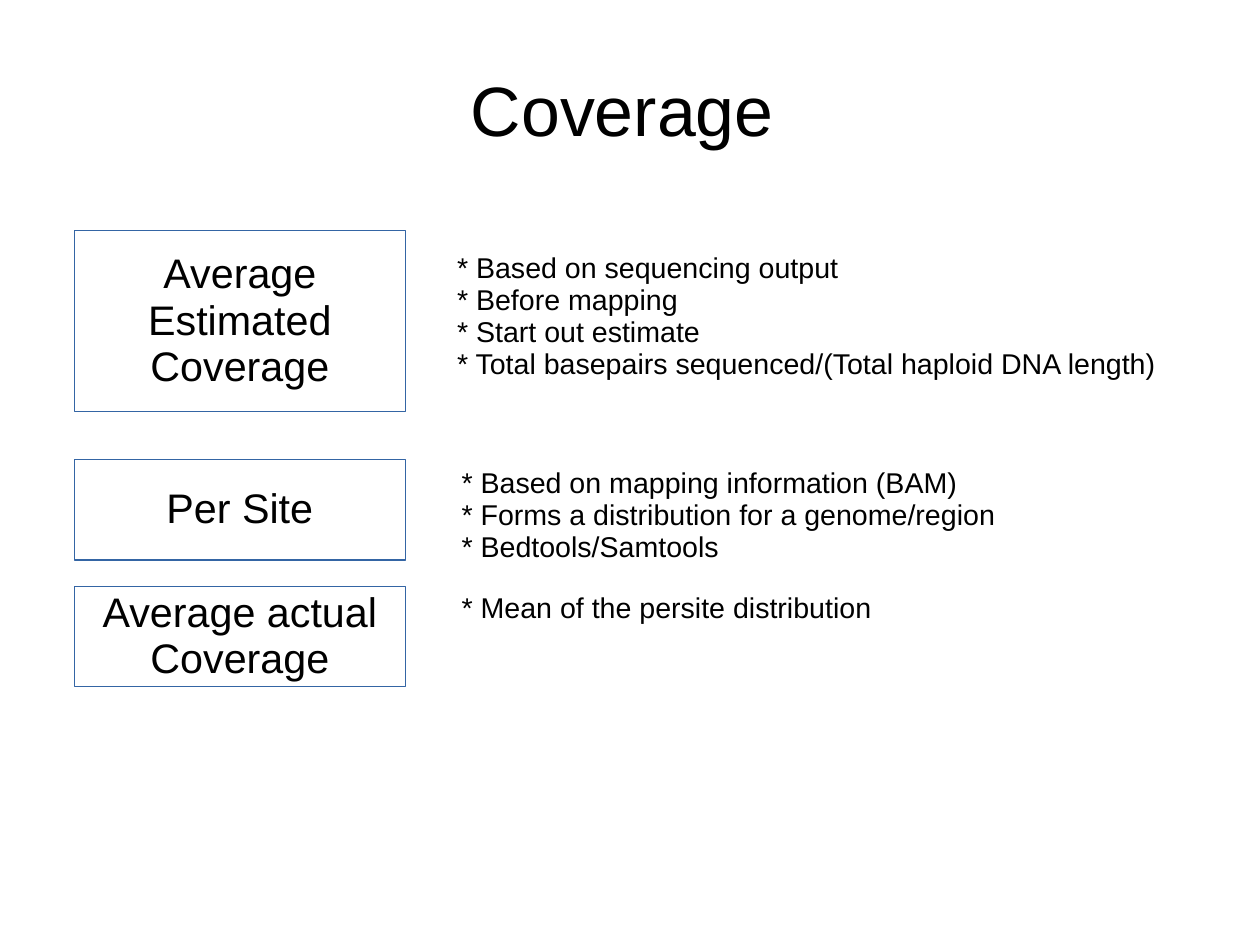
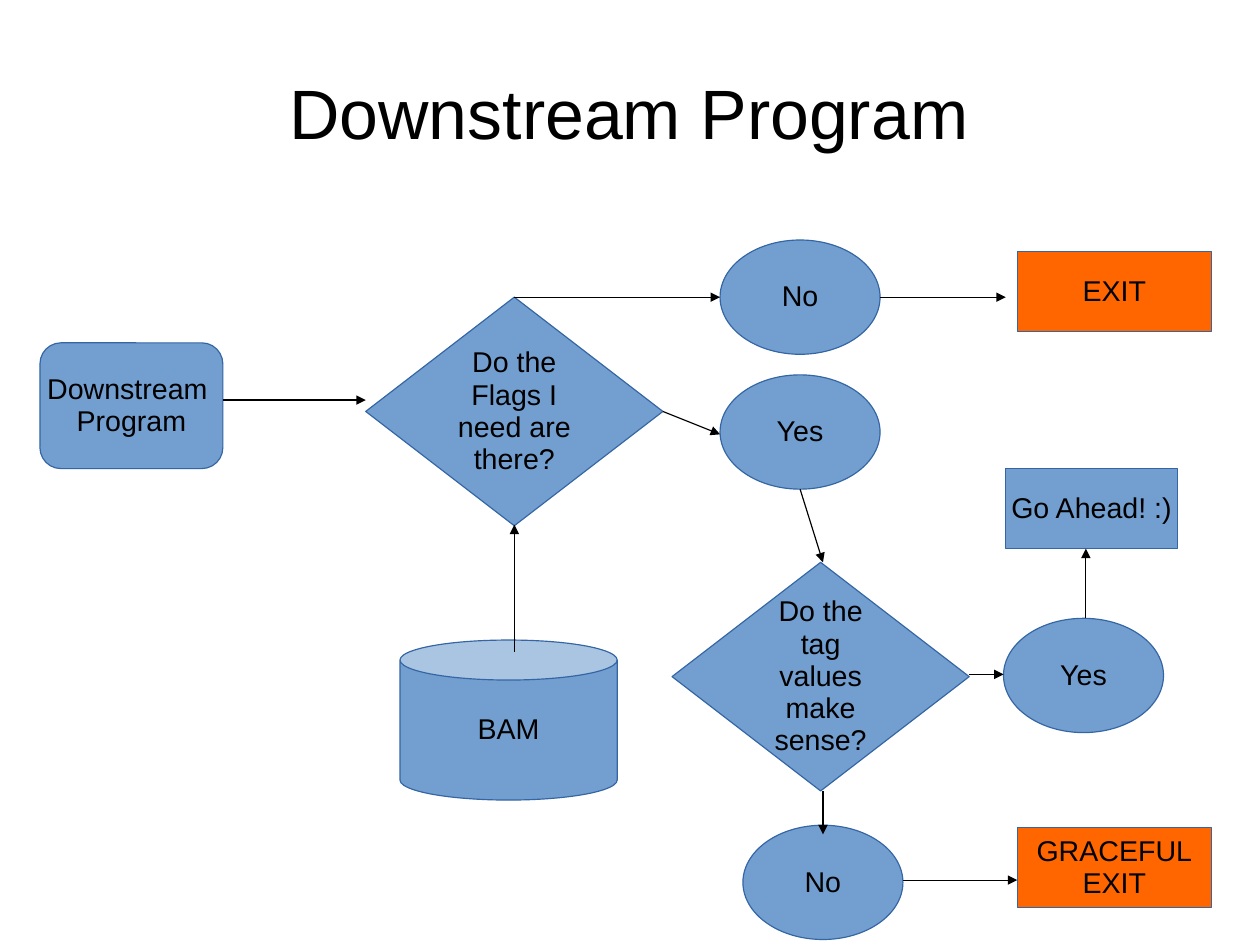
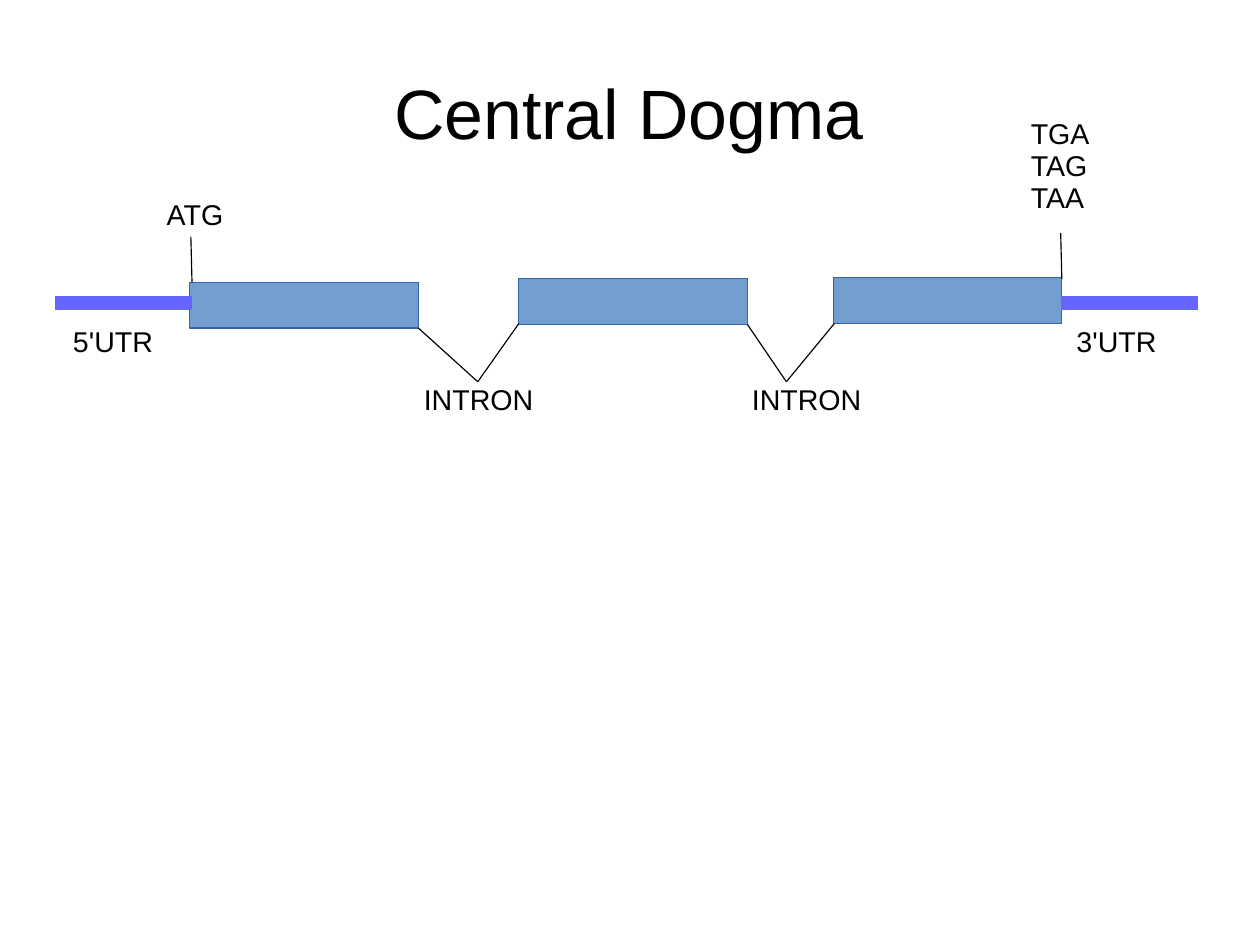
from dataclasses import dataclass
from typing import Optional

from lxml.etree import SubElement
from pptx import Presentation
from pptx.dml.color import RGBColor
from pptx.enum.shapes import MSO_CONNECTOR, MSO_SHAPE
from pptx.enum.text import MSO_ANCHOR, MSO_AUTO_SIZE, PP_ALIGN
from pptx.oxml.ns import qn
from pptx.slide import Slide
from pptx.text.text import TextFrame
from pptx.util import Cm, Inches, Pt


@dataclass(frozen=True)
class Theme:
    """Colours, font, type sizes and line widths of the deck."""
    ink: str = "000000"
    blue: str = "729FCF"
    outline: str = "3465A4"
    orange: str = "FF6600"
    violet: str = "6666FF"
    font: str = "Arial"
    title: int = 44
    heading: int = 26
    body: int = 18
    spacing: float = 0.94
    thin: float = 0.74
    thick: float = 8.65


THEME = Theme()


@dataclass(frozen=True)
class Node:
    """An outlined shape with centred text."""
    left: float
    top: float
    width: float
    height: float
    text: str = ""
    kind: MSO_SHAPE = MSO_SHAPE.RECTANGLE
    fill: Optional[str] = THEME.blue
    size: int = THEME.body
    wrap: bool = False


@dataclass(frozen=True)
class Label:
    """Left-aligned text without a frame."""
    left: float
    top: float
    width: float
    height: float
    text: str


@dataclass(frozen=True)
class Line:
    """A straight line, with or without an arrowhead at its end."""
    x1: float
    y1: float
    x2: float
    y2: float
    arrow: bool = False
    color: str = THEME.ink
    width: float = THEME.thin


def format_text(tf: TextFrame, size: int, align: PP_ALIGN) -> None:
    """Give every paragraph of a frame the deck's type style."""
    tf.auto_size = MSO_AUTO_SIZE.NONE
    for p in tf.paragraphs:
        p.alignment = align
        p.line_spacing = THEME.spacing
        for r in p.runs:
            r.font.name = THEME.font
            r.font.size = Pt(size)
            r.font.color.rgb = RGBColor.from_string(THEME.ink)


def add_title_slide(prs: Presentation, title: str, left: float = 0.55, top: float = 0.33) -> Slide:
    """Add a slide with a formatted title placeholder."""
    slide = prs.slides.add_slide(prs.slide_layouts[5])
    sp = slide.shapes.title
    sp.left, sp.top, sp.width, sp.height = map(Inches, (left, top, 9.91, 1.37))
    tf = sp.text_frame
    tf.text = title
    tf.margin_left = tf.margin_right = tf.margin_top = tf.margin_bottom = 0
    tf.vertical_anchor = MSO_ANCHOR.MIDDLE
    format_text(tf, THEME.title, PP_ALIGN.CENTER)
    return slide


def add_node(slide: Slide, node: Node) -> None:
    """Draw an outlined shape and its text."""
    box = map(Inches, (node.left, node.top, node.width, node.height))
    sp = slide.shapes.add_shape(node.kind, *box)
    sp.shadow.inherit = False
    if node.fill:
        sp.fill.solid()
        sp.fill.fore_color.rgb = RGBColor.from_string(node.fill)
    else:
        sp.fill.background()
    sp.line.color.rgb = RGBColor.from_string(THEME.outline)
    sp.line.width = Pt(THEME.thin)
    if node.text:
        tf = sp.text_frame
        tf.text = node.text
        tf.word_wrap = node.wrap
        tf.vertical_anchor = MSO_ANCHOR.MIDDLE
        format_text(tf, node.size, PP_ALIGN.CENTER)


def add_label(slide: Slide, label: Label) -> None:
    """Draw a text box."""
    box = map(Inches, (label.left, label.top, label.width, label.height))
    tf = slide.shapes.add_textbox(*box).text_frame
    tf.text = label.text
    tf.word_wrap = False
    format_text(tf, THEME.body, PP_ALIGN.LEFT)


def add_line(slide: Slide, line: Line) -> None:
    """Draw a connector without a shadow."""
    ends = map(Inches, (line.x1, line.y1, line.x2, line.y2))
    cxn = slide.shapes.add_connector(MSO_CONNECTOR.STRAIGHT, *ends)
    cxn.line.color.rgb = RGBColor.from_string(line.color)
    cxn.line.width = Pt(line.width)
    if line.arrow:
        SubElement(cxn.line._get_or_add_ln(), qn("a:tailEnd"), type="triangle")
    SubElement(cxn._element.spPr, qn("a:effectLst"))


def build_coverage(prs: Presentation) -> None:
    """Slide 1: three kinds of coverage and their notes."""
    slide = add_title_slide(prs, "Coverage", 0.49, 0.3)
    for top, height, text in (
        (2.02, 1.58, "Average Estimated Coverage"),
        (4.02, 0.88, "Per Site"),
        (5.13, 0.88, "Average actual Coverage"),
    ):
        add_node(slide, Node(0.65, top, 2.9, height, text, fill=None,
                             size=THEME.heading, wrap=True))
    for label in (
        Label(3.9, 2.16, 6.29, 1.24,
              "* Based on sequencing output\n* Before mapping\n* Start out estimate\n"
              "* Total basepairs sequenced/(Total haploid DNA length)"),
        Label(3.94, 4.04, 4.86, 0.96,
              "* Based on mapping information (BAM)\n"
              "* Forms a distribution for a genome/region\n* Bedtools/Samtools "),
        Label(3.94, 5.14, 3.78, 0.4, "* Mean of the persite distribution"),
    ):
        add_label(slide, label)


def build_downstream(prs: Presentation) -> None:
    """Slide 2: flowchart of the checks on a BAM file."""
    slide = add_title_slide(prs, "Downstream Program")
    add_node(slide, Node(0.35, 3, 1.6, 1.1, "Downstream \nProgram", MSO_SHAPE.ROUNDED_RECTANGLE))
    add_node(slide, Node(3.5, 5.6, 1.9, 1.4, "BAM", MSO_SHAPE.CAN))
    add_node(slide, Node(8.8, 4.1, 1.5, 0.7, "Go Ahead! :)"))
    for left, top, question in (
        (3.2, 2.6, "Do the Flags I need are there?"),
        (5.88, 4.92, "Do the tag values make sense?"),
    ):
        add_node(slide, Node(left, top, 2.6, 2, question, MSO_SHAPE.DIAMOND, wrap=True))
    for left, top, answer in (
        (6.3, 2.1, "No"), (6.3, 3.28, "Yes"), (6.5, 7.22, "No"), (8.78, 5.41, "Yes"),
    ):
        add_node(slide, Node(left, top, 1.4, 1, answer, MSO_SHAPE.OVAL))
    for top, text in ((2.2, "EXIT"), (7.24, "GRACEFUL\nEXIT")):
        add_node(slide, Node(8.9, top, 1.7, 0.7, text, fill=THEME.orange))
    for ends in (
        (1.95, 3.5, 3.2, 3.5),
        (4.5, 5.7, 4.5, 4.59),
        (4.5, 2.6, 6.3, 2.6),
        (5.8, 3.6, 6.3, 3.8),
        (7, 4.28, 7.2, 4.92),
        (7.2, 6.92, 7.2, 7.3),
        (8.48, 5.9, 8.78, 5.9),
        (7.7, 2.6, 8.8, 2.6),
        (7.9, 7.7, 8.9, 7.7),
        (9.5, 5.41, 9.5, 4.8),
    ):
        add_line(slide, Line(*ends, arrow=True))


def build_dogma(prs: Presentation) -> None:
    """Slide 3: gene structure with exons, introns and UTRs."""
    slide = add_title_slide(prs, "Central Dogma")
    for left, top in ((1.66, 2.47), (4.54, 2.44), (7.29, 2.43)):
        add_node(slide, Node(left, top, 2, 0.4))
    for utr_left in (0.48, 9.28):
        add_line(slide, Line(utr_left, 2.65, utr_left + 1.2, 2.65,
                             color=THEME.violet, width=THEME.thick))
    for start, start_y, dip, end in ((3.66, 2.87, 4.18, 4.54), (6.54, 2.84, 6.88, 7.3)):
        add_line(slide, Line(start, start_y, dip, 3.34))
        add_line(slide, Line(dip, 3.34, end, 2.83))
    for codon_x, codon_y in ((1.67, 2.07), (9.28, 2.04)):
        add_line(slide, Line(codon_x, codon_y, codon_x + 0.01, codon_y + 0.4))
    for label in (
        Label(1.36, 1.7, 0.69, 0.4, "ATG"),
        Label(8.92, 0.99, 0.71, 0.96, "TGA\nTAG\vTAA"),
        Label(0.54, 2.81, 0.9, 0.4, "5'UTR"),
        Label(9.32, 2.81, 0.9, 0.4, "3'UTR"),
        Label(3.61, 3.32, 1.16, 0.4, "INTRON"),
        Label(6.48, 3.32, 1.16, 0.4, "INTRON"),
    ):
        add_label(slide, label)


prs = Presentation()
prs.slide_width = Cm(28)
prs.slide_height = Cm(21)
build_coverage(prs)
build_downstream(prs)
build_dogma(prs)
prs.save("out.pptx")
